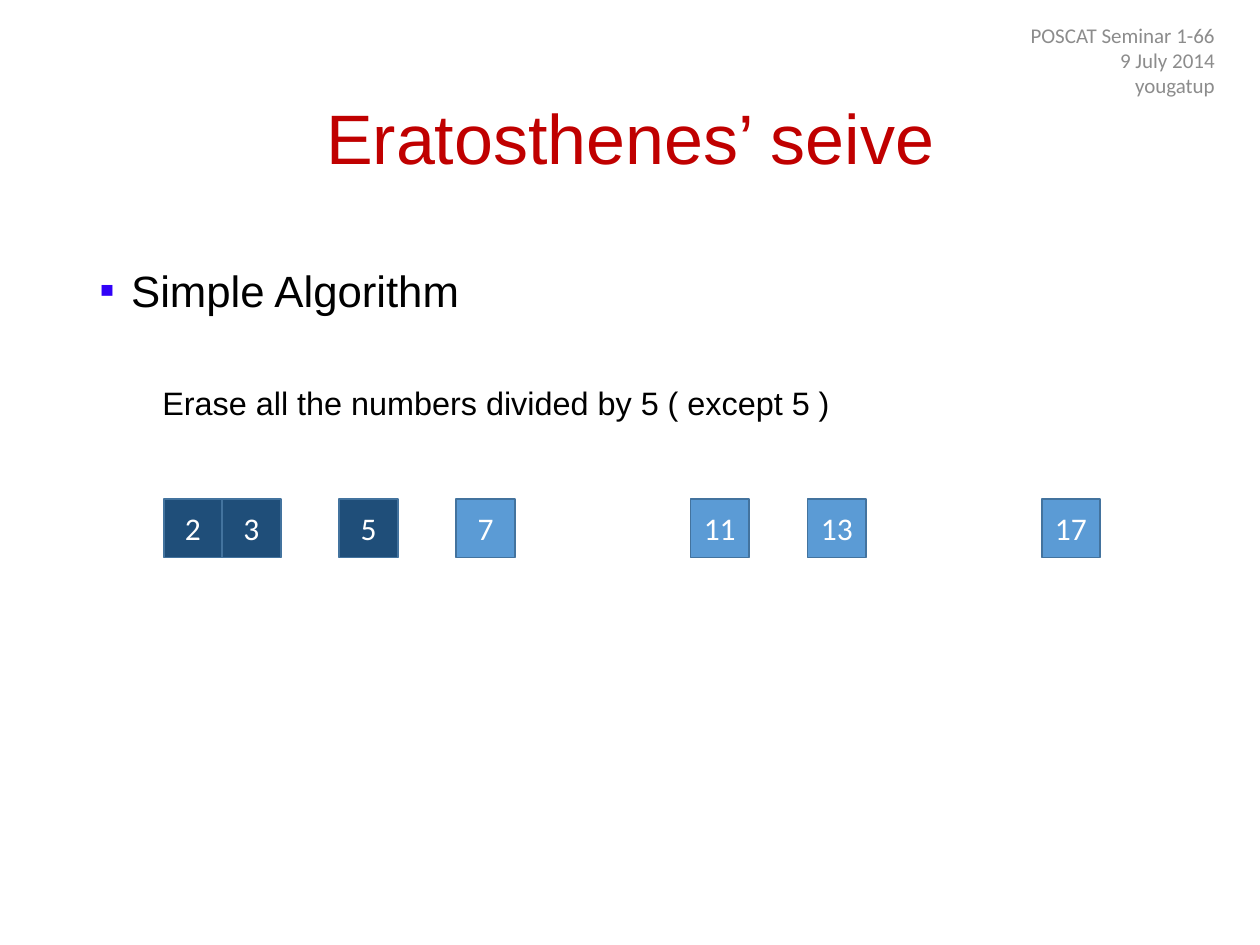
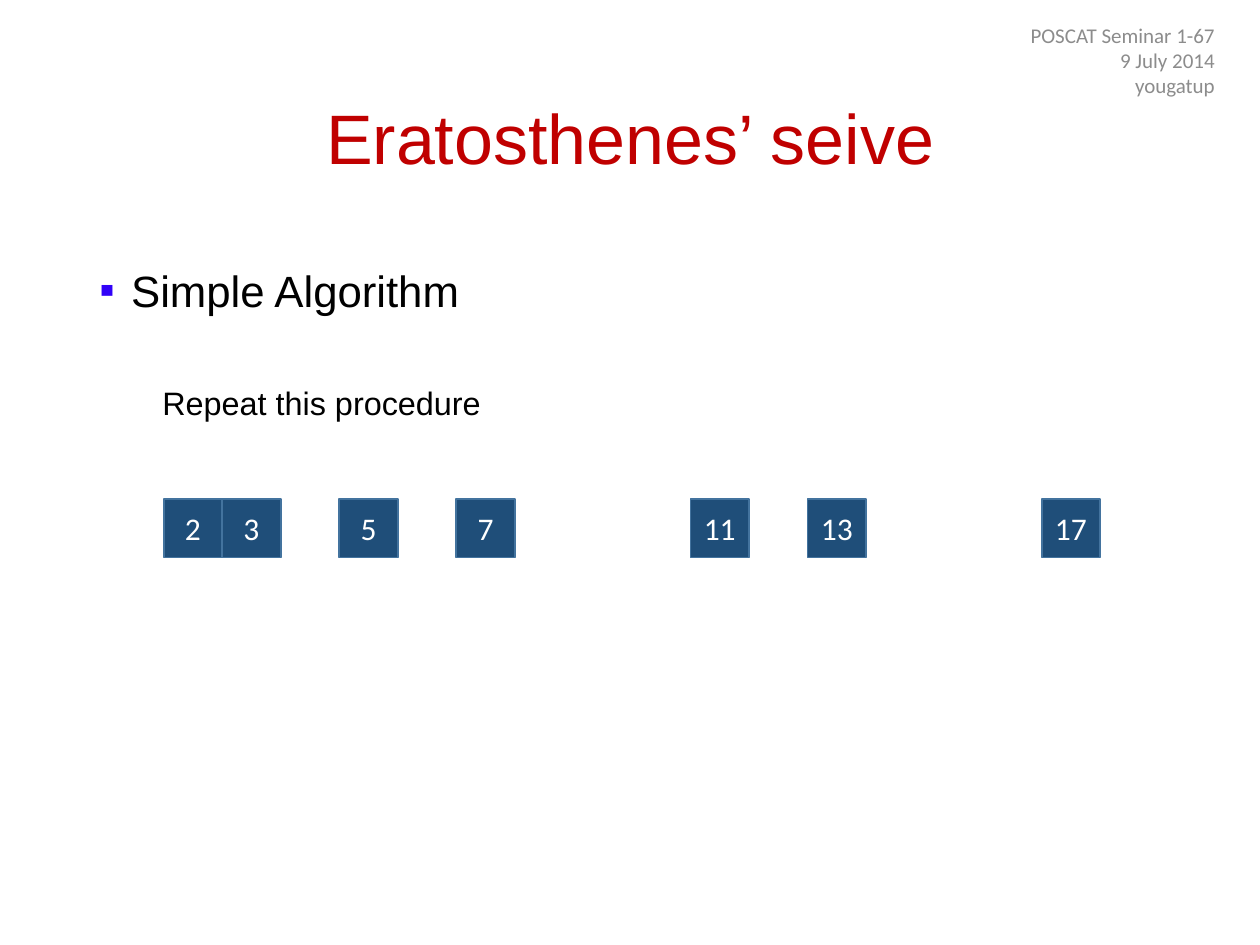
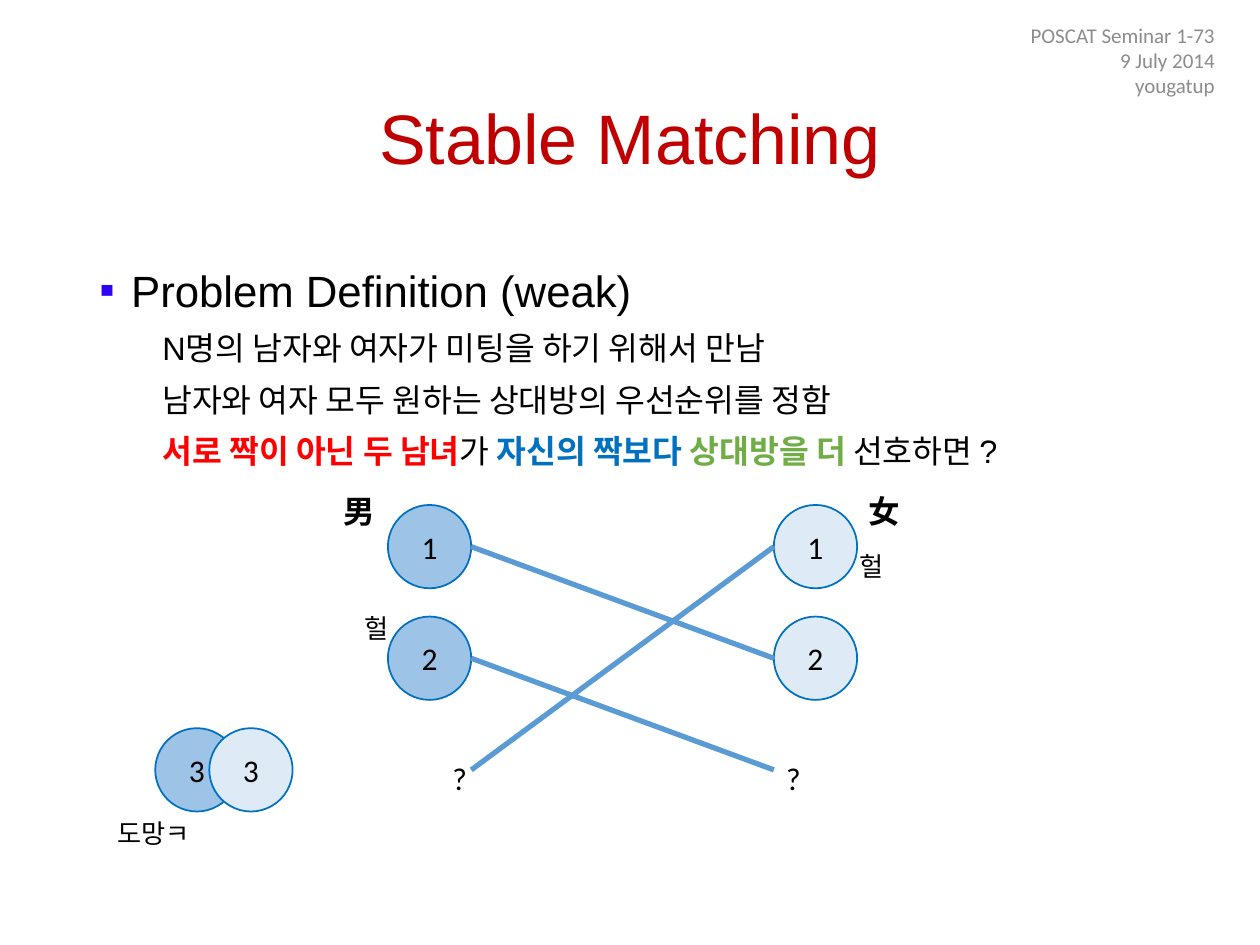
from lxml import etree
from pptx import Presentation
from pptx.dml.color import RGBColor
from pptx.enum.shapes import MSO_CONNECTOR, MSO_SHAPE
from pptx.enum.text import MSO_ANCHOR, MSO_AUTO_SIZE, PP_ALIGN
from pptx.oxml.ns import qn
from pptx.util import Cm, Pt

RECTANGLE, OVAL = MSO_SHAPE.RECTANGLE, MSO_SHAPE.OVAL
STRAIGHT = MSO_CONNECTOR.STRAIGHT
TOP, MIDDLE = MSO_ANCHOR.TOP, MSO_ANCHOR.MIDDLE
LEFT, CENTER, RIGHT = PP_ALIGN.LEFT, PP_ALIGN.CENTER, PP_ALIGN.RIGHT
NO_FIT, GROW = MSO_AUTO_SIZE.NONE, MSO_AUTO_SIZE.SHAPE_TO_FIT_TEXT

COLORS = {
    "title": "C00000", "text": "000000", "header": "8C8C8C", "bullet": "3102F8",
    "white": "FFFFFF", "prime": "1F4E79", "candidate": "5B9BD5", "cell_line": "43739E",
    "man": "9DC3E6", "woman": "DEEBF7", "circle_line": "0070C0", "match": "5B9BD5",
    "red": "FF0000", "blue": "0070C0", "green": "70AD47",
}
HEADING_FONT, LABEL_FONT = "Arial", "Calibri"
TITLE_BOX = (1.75, 1.02, 21.9, 3.68)
BODY_BOX = (1.75, 5.08, 21.9, 12.09)
WIDE_BODY_BOX = (1.75, 5.08, 22.99, 12.09)
HEADER_BOX = (19.02, 0.51, 5.72, 1.4)
SIEVE_BOX = (3.3, 10.06, 18.88, 1.18)
MATCHING_BOX = (2.11, 9.8, 16.28, 7.44)
PRIMES = (2, 3, 5, 7, 11, 13, 17)


def rgb(name):
    """Return the named palette colour."""
    return RGBColor.from_string(COLORS[name])


def add_run(paragraph, text, size, color="text", font=LABEL_FONT, bold=False):
    """Append one formatted run to a paragraph."""
    run = paragraph.add_run()
    run.text = text
    run.font.name = font
    run.font.size = Pt(size)
    run.font.bold = bold
    run.font.color.rgb = rgb(color)


def place(shape, box):
    """Move and size a shape to a box given in centimetres."""
    shape.left, shape.top, shape.width, shape.height = map(Cm, box)


def set_bullet(paragraph, margin, indent, character=None):
    """Set the indents of a paragraph and its bullet, if any."""
    properties = paragraph._p.get_or_add_pPr()
    properties.set("marL", str(Cm(margin)))
    properties.set("indent", str(Cm(indent)))
    if character is None:
        etree.SubElement(properties, qn("a:buNone"))
        return
    color = etree.SubElement(properties, qn("a:buClr"))
    etree.SubElement(color, qn("a:srgbClr"), val=COLORS["bullet"])
    etree.SubElement(properties, qn("a:buFont"), typeface=HEADING_FONT)
    etree.SubElement(properties, qn("a:buChar"), char=character)


def add_title(slide, box, text):
    """Fill the title placeholder."""
    title = slide.shapes.title
    place(title, box)
    frame = title.text_frame
    frame.auto_size = NO_FIT
    frame.vertical_anchor = MIDDLE
    paragraph = frame.paragraphs[0]
    paragraph.alignment = CENTER
    paragraph.line_spacing = 0.9
    add_run(paragraph, text, 40, "title", HEADING_FONT)


def add_body(slide, box, heading, lines, first_gap=5):
    """Fill the body placeholder with a bulleted heading and lines of (text, colour) runs."""
    body = slide.placeholders[1]
    place(body, box)
    frame = body.text_frame
    frame.auto_size = NO_FIT
    frame.vertical_anchor = TOP
    paragraph = frame.paragraphs[0]
    paragraph.line_spacing = 1.1
    paragraph.space_before = Pt(10)
    set_bullet(paragraph, 0.64, -0.64, "▪")
    add_run(paragraph, heading, 25, font=HEADING_FONT)
    for index, line in enumerate(lines):
        paragraph = frame.add_paragraph()
        paragraph.level = 1
        paragraph.line_spacing = 1.1
        paragraph.space_before = Pt(5 if index else first_gap)
        set_bullet(paragraph, 1.27, 0)
        for text, color in line:
            add_run(paragraph, text, 18.5, color, HEADING_FONT, color != "text")


def add_header(slide, box, number):
    """Add the seminar name, date and author in the top right corner."""
    frame = slide.shapes.add_textbox(*map(Cm, box)).text_frame
    frame.word_wrap = True
    frame.vertical_anchor = MIDDLE
    for index, text in enumerate((f"POSCAT Seminar 1-{number}", "9 July 2014", "yougatup")):
        paragraph = frame.add_paragraph() if index else frame.paragraphs[0]
        paragraph.alignment = RIGHT
        add_run(paragraph, text, 12, "header")


def add_node(slide, kind, box, text, fill, line, color):
    """Add an outlined shape with a centred number."""
    node = slide.shapes.add_shape(kind, *map(Cm, box))
    node.shadow.inherit = False
    node.fill.solid()
    node.fill.fore_color.rgb = rgb(fill)
    node.line.color.rgb = rgb(line)
    node.line.width = Pt(1)
    frame = node.text_frame
    frame.word_wrap = False
    frame.vertical_anchor = MIDDLE
    paragraph = frame.paragraphs[0]
    paragraph.alignment = CENTER
    add_run(paragraph, text, 18, color)


def add_label(slide, box, text, size, bold=False, wrap=False):
    """Add a short free-standing label."""
    label = slide.shapes.add_textbox(*map(Cm, box))
    frame = label.text_frame
    frame.word_wrap = wrap
    frame.auto_size = GROW
    paragraph = frame.paragraphs[0]
    paragraph.alignment = LEFT
    add_run(paragraph, text, size, bold=bold)


def add_match(slide, start, end):
    """Add a thick line between two points."""
    line = slide.shapes.add_connector(STRAIGHT, *map(Cm, start + end))
    line.line.color.rgb = rgb("match")
    line.line.width = Pt(3)
    etree.SubElement(line._element.spPr, qn("a:effectLst"))


def add_sieve(slide, box, last_checked):
    """Place each prime in its column, dark up to the last one checked."""
    left, top, width, height = box
    step = width / 16
    for prime in PRIMES:
        fill = "prime" if prime <= last_checked else "candidate"
        cell = (left + (prime - 2) * step, top, step, height)
        add_node(slide, RECTANGLE, cell, str(prime), fill, "cell_line", "white")


def add_matching(slide, box):
    """Draw men and women as circles, the lines between them and the remarks."""
    left, top = box[:2]
    diameter, row_step, first_row = 1.68, 2.25, 0.38
    columns = {"man": (5.71, 5.71, 1.02), "woman": (13.49, 13.49, 2.11)}
    for person, offsets in columns.items():
        for row, offset in enumerate(offsets):
            circle = (left + offset, top + first_row + row * row_step, diameter, diameter)
            add_node(slide, OVAL, circle, str(row + 1), person, "circle_line", "text")
    man_edge = left + columns["man"][0] + diameter
    woman_edge = left + columns["woman"][0]
    center = top + first_row + diameter / 2
    for man, woman in ((0, 1), (2, 0), (1, 2)):
        add_match(slide, (man_edge, center + man * row_step),
                  (woman_edge, center + woman * row_step))
    for x, y, width, text in ((4.57, 0, 1.14, "男"), (15.14, 0, 1.14, "女")):
        add_label(slide, (left + x, top + y, width, 1.02), text, 18, bold=True)
    for x, y, width, text in ((0, 6.55, 2.11, "도망ㅋ"), (4.98, 2.41, 1.04, "헐"),
                              (14.96, 1.17, 1.04, "헐")):
        add_label(slide, (left + x, top + y, width, 0.89), text, 15)
    for x in (13.49, 6.76):
        add_label(slide, (left + x, top + 5.38, 0.94, 1.02), "?", 18, wrap=True)


def add_slide(presentation, title, number):
    """Add a slide with the shared title and header."""
    slide = presentation.slides.add_slide(presentation.slide_layouts[1])
    add_title(slide, TITLE_BOX, title)
    add_header(slide, HEADER_BOX, number)
    return slide


def add_sieve_slide(presentation, number, step_text, last_checked):
    """Add one step of the sieve."""
    slide = add_slide(presentation, "Eratosthenes’ seive", number)
    add_body(slide, WIDE_BODY_BOX, "Simple Algorithm", [[(step_text, "text")]], first_gap=36)
    add_sieve(slide, SIEVE_BOX, last_checked)


def add_matching_slide(presentation, number):
    """Add the stable matching problem."""
    slide = add_slide(presentation, "Stable Matching", number)
    add_body(slide, BODY_BOX, "Problem Definition (weak)", [
        [("N명의 남자와 여자가 미팅을 하기 위해서 만남", "text")],
        [("남자와 여자 모두 원하는 상대방의 우선순위를 정함", "text")],
        [("서로 짝이 아닌 두 남녀", "red"), ("가 ", "text"), ("자신의 짝보다 ", "blue"),
         ("상대방을 더", "green"), (" 선호하면 ?", "text")],
    ])
    add_matching(slide, MATCHING_BOX)


def main():
    """Build and save the presentation."""
    presentation = Presentation()
    presentation.slide_width, presentation.slide_height = Cm(25.4), Cm(19.05)
    add_sieve_slide(presentation, 66, "Erase all the numbers divided by 5 ( except 5 )", 5)
    add_sieve_slide(presentation, 67, "Repeat this procedure", 17)
    add_matching_slide(presentation, 73)
    presentation.save("out.pptx")


main()
